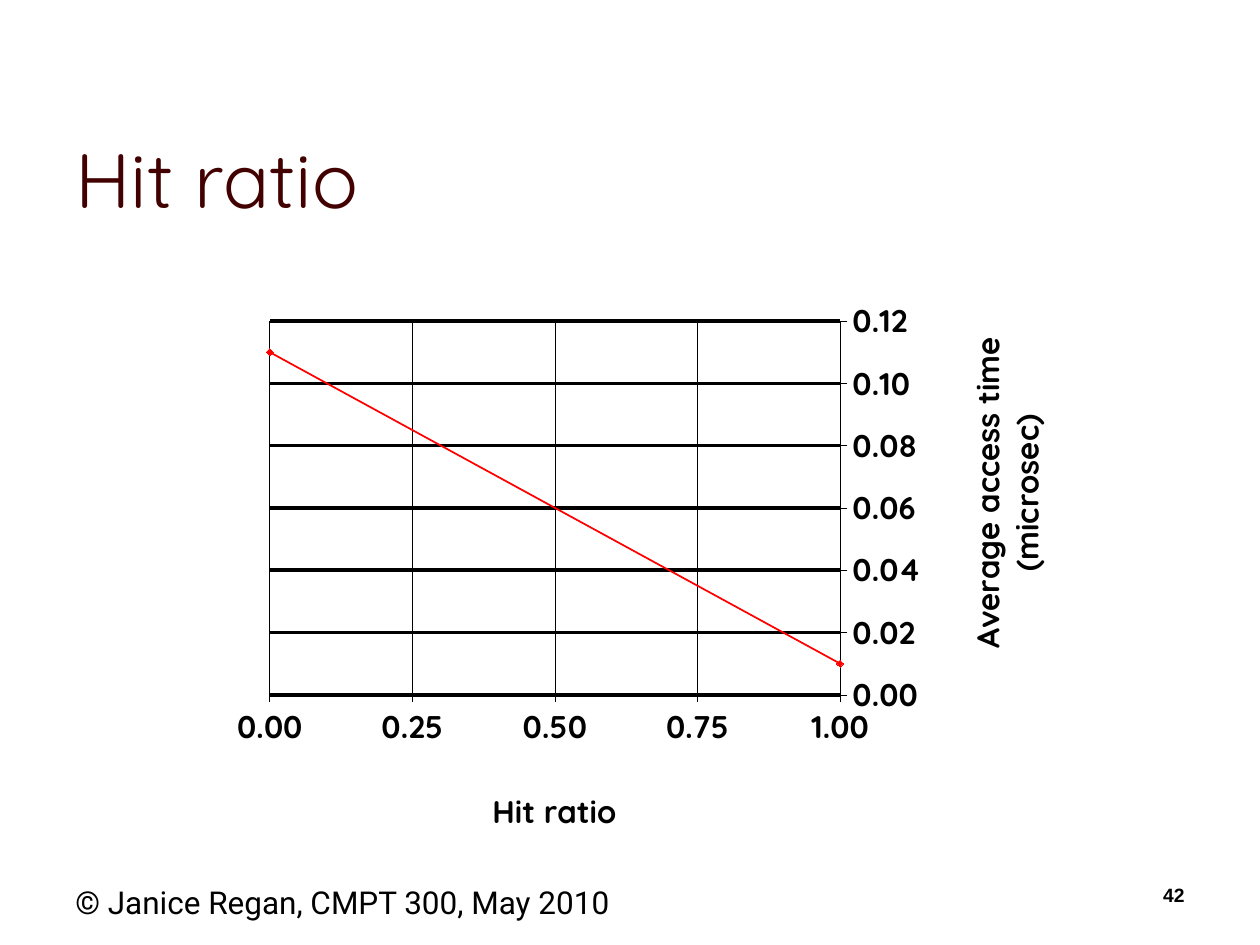
from pptx import Presentation
from pptx.chart.data import XyChartData
from pptx.dml.color import RGBColor
from pptx.enum.chart import XL_AXIS_CROSSES, XL_CHART_TYPE, XL_MARKER_STYLE, XL_TICK_MARK
from pptx.enum.text import MSO_ANCHOR, PP_ALIGN
from pptx.oxml import parse_xml
from pptx.oxml.ns import nsdecls
from pptx.util import Inches, Pt

SMOOTH_SCATTER = XL_CHART_TYPE.XY_SCATTER_SMOOTH
DIAMOND = XL_MARKER_STYLE.DIAMOND
CROSS = XL_TICK_MARK.CROSS
LEFT, RIGHT = PP_ALIGN.LEFT, PP_ALIGN.RIGHT
TOP, BOTTOM = MSO_ANCHOR.TOP, MSO_ANCHOR.BOTTOM
BLACK, RED, MAROON = "000000", "FF0000", "420000"


def color(hex_value):
    return RGBColor.from_string(hex_value)


def place(parent, index, **shares):
    """Give a chart part a manual layout in shares of the chart's size."""
    for old_layout in parent.xpath("c:layout"):
        parent.remove(old_layout)
    target = '<c:layoutTarget val="inner"/>' if "w" in shares else ""
    modes = "".join(f'<c:{name}Mode val="edge"/>' for name in ("x", "y"))
    values = "".join(f'<c:{name} val="{share}"/>' for name, share in shares.items())
    parent.insert(index, parse_xml(
        f'<c:layout {nsdecls("c")}><c:manualLayout>{target}{modes}{values}'
        "</c:manualLayout></c:layout>"))


presentation = Presentation()
presentation.slide_width, presentation.slide_height = Inches(10), Inches(7.5)
slide = presentation.slides.add_slide(presentation.slide_layouts[6])

# Title, footer and page number
margin, footer_top, footer_height = 0.5, 6.96, 0.5
texts = [
    ("Hit ratio", margin, 0.58, 9, 1.25, "Quicksand", 44, MAROON, False, LEFT, BOTTOM),
    ("© Janice Regan, CMPT 300, May 2010", margin, footer_top, 4.8, footer_height,
     "Roboto", 18, BLACK, False, LEFT, TOP),
    ("42", 7.42, footer_top, 2.08, footer_height, "Arial", 11, BLACK, True, RIGHT, TOP),
]
for text, left, top, width, height, font_name, size, ink, bold, align, anchor in texts:
    box = slide.shapes.add_textbox(Inches(left), Inches(top), Inches(width), Inches(height))
    frame = box.text_frame
    frame.word_wrap = True
    frame.vertical_anchor = anchor
    paragraph = frame.paragraphs[0]
    paragraph.text = text
    paragraph.alignment = align
    paragraph.font.name = font_name
    paragraph.font.size = Pt(size)
    paragraph.font.bold = bold
    paragraph.font.color.rgb = color(ink)

# Chart of access time against hit ratio
chart_data = XyChartData(number_format="0.00")
access_time = chart_data.add_series("Series 1")
for hit_ratio, microseconds in [(0, 0.11), (1, 0.01)]:
    access_time.add_data_point(hit_ratio, microseconds)
chart = slide.shapes.add_chart(
    SMOOTH_SCATTER, Inches(1.71), Inches(2.23), Inches(6.67), Inches(4.44), chart_data).chart
chart.has_legend = False
chart.has_title = False
plot = chart.plots[0]
plot.vary_by_categories = False
place(chart.element.xpath("//c:plotArea")[0], 0, x=0.065, y=0.072, w=0.683, h=0.671)

# Red line with diamond markers
series = plot.series[0]
series.smooth = True
series.format.line.color.rgb = color(RED)
series.format.line.width = Pt(1)
series.marker.style = DIAMOND
series.marker.size = 4
series.marker.format.fill.solid()
series.marker.format.fill.fore_color.rgb = color(RED)
series.marker.format.line.color.rgb = color(RED)

# Axes: title, maximum, step, gridline width, title position, title rotation
axes = [
    (chart.category_axis, "Hit ratio", 1, 0.25, 0.25, 0.325, 0.9, 0),
    (chart.value_axis, "Average access time (microsec)", 0.12, 0.02, 2, 0.89, 0.09, -90),
]
for axis, title, maximum, step, grid_width, title_x, title_y, degrees in axes:
    axis.minimum_scale, axis.maximum_scale, axis.major_unit = 0, maximum, step
    axis.major_tick_mark = CROSS
    axis.tick_labels.number_format = "0.00"
    axis.tick_labels.number_format_is_linked = False
    axis.has_major_gridlines = True
    for line, width in [(axis.format.line, 0.25),
                        (axis.major_gridlines.format.line, grid_width)]:
        line.color.rgb = color(BLACK)
        line.width = Pt(width)
    paragraph = axis.axis_title.text_frame.paragraphs[0]
    paragraph.text = title
    title_element = axis.axis_title._element
    title_element.xpath(".//a:bodyPr")[0].set("rot", str(degrees * 60000))
    place(title_element, 1, x=title_x, y=title_y)
    for font in (paragraph.font, axis.tick_labels.font):
        font.name = "Quicksand"
        font.size = Pt(18)
        font.bold = True
        font.color.rgb = color(BLACK)

# The value axis stands on the right
chart.category_axis.crosses = XL_AXIS_CROSSES.MAXIMUM

presentation.save("out.pptx")
